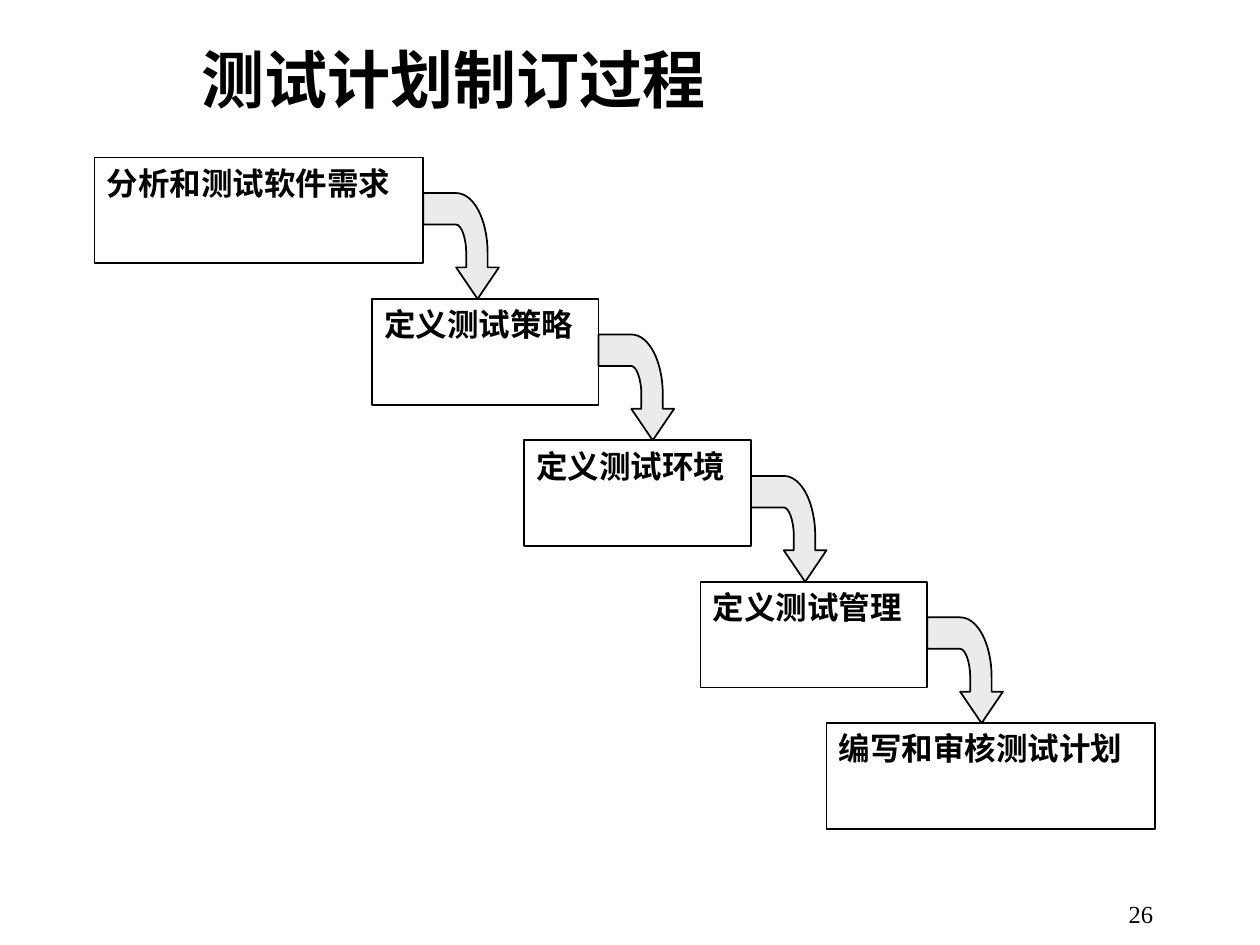
from dataclasses import dataclass

from lxml.etree import SubElement
from pptx import Presentation
from pptx.dml.color import RGBColor
from pptx.enum.shapes import MSO_SHAPE
from pptx.enum.text import MSO_ANCHOR, PP_ALIGN
from pptx.oxml.ns import qn
from pptx.util import Inches, Pt


@dataclass(frozen=True)
class Theme:
    ink: RGBColor = RGBColor(0, 0, 0)
    paper: RGBColor = RGBColor(255, 255, 255)
    arrow: RGBColor = RGBColor(0xC0, 0xC0, 0xC0)
    arrow_opacity: int = 30
    line: float = 0.99
    title_size: int = 36
    step_size: int = 18
    number_size: int = 14
    serif: str = "Times New Roman"
    sans: str = "Arial"
    cjk: str = "Noto Sans CJK SC"


T = Theme()

# Steps of the staircase: left, width, text runs with their fonts
STEPS = [
    (0.75, 2.61, [("分析和测试软件需求", T.sans)]),
    (2.95, 1.80, [("定义测试策略", T.sans)]),
    (4.16, 1.80, [("定义测试", T.cjk), ("环境", T.serif)]),
    (5.56, 1.80, [("定义测试管理", T.sans)]),
    (6.56, 2.61, [("编写和审核测试计划", T.sans)]),
]
FIRST_TOP, LAST_TOP = 1.25, 5.74
STEP_HEIGHT = 0.84

# Arrow pointing right, before its quarter turn; CURVES holds the
# index of the first control point of each Bezier curve
ARROW_LENGTH, ARROW_BREADTH = 0.84, 0.6
ARROW = [
    (0.84, 0.17), (0.59, 0), (0.59, 0.09), (0.48, 0.09),
    (0.21, 0.09), (0, 0.2), (0, 0.34),
    (0, 0.6), (0.25, 0.6), (0.25, 0.34),
    (0.25, 0.3), (0.35, 0.26), (0.48, 0.26),
    (0.59, 0.26), (0.59, 0.34),
]
CURVES = (4, 10)


def write(tf, runs, size, bold=False, align=PP_ALIGN.LEFT, anchor=MSO_ANCHOR.TOP):
    """Fill a text frame with one paragraph of (text, font) runs."""
    tf.word_wrap = True
    tf.vertical_anchor = anchor
    p = tf.paragraphs[0]
    p.alignment = align
    p.font.size, p.font.bold = Pt(size), bold
    p.font.color.rgb = T.ink
    for text, font in runs:
        r = p.add_run()
        r.text = text
        r.font.name = font
        SubElement(r.font._element, qn("a:ea"), typeface=T.cjk)


def outline(sp, fill):
    sp.shadow.inherit = False
    sp.fill.solid()
    sp.fill.fore_color.rgb = fill
    sp.line.color.rgb = T.ink
    sp.line.width = Pt(T.line)


def add_title(s, text):
    sp = s.shapes.title
    sp.left, sp.top, sp.width, sp.height = map(Inches, (1.5, 0, 8.5, 1.25))
    write(sp.text_frame, [(text, T.serif)], T.title_size, True,
          anchor=MSO_ANCHOR.MIDDLE)


def add_page_number(s, number):
    sp = s.shapes.add_textbox(*map(Inches, (7.17, 6.92, 2.08, 0.5)))
    write(sp.text_frame, [(number, T.serif)], T.number_size,
          align=PP_ALIGN.RIGHT, anchor=MSO_ANCHOR.BOTTOM)


def add_step(s, left, top, width, runs):
    sp = s.shapes.add_shape(MSO_SHAPE.RECTANGLE, Inches(left), Inches(top),
                            Inches(width), Inches(STEP_HEIGHT))
    outline(sp, T.paper)
    write(sp.text_frame, runs, T.step_size, True)


def fold_curves(sp):
    """Turn each run of three control-point segments into one Bezier."""
    segments = list(next(sp._element.iter(qn("a:path"))))
    for start in CURVES:
        first, *others = segments[start:start + 3]
        first.tag = qn("a:cubicBezTo")
        for segment in others:
            first.append(segment[0])
            segment.getparent().remove(segment)


def add_bent_arrow(s, left, top):
    """Place an arrow by the top left corner it has after its turn."""
    shift = (ARROW_LENGTH - ARROW_BREADTH) / 2
    points = [(Inches(left - shift + x), Inches(top + shift + y))
              for x, y in ARROW]
    builder = s.shapes.build_freeform(*points[0])
    builder.add_line_segments(points[1:], close=True)
    sp = builder.convert_to_shape()
    fold_curves(sp)
    sp.rotation = 90
    outline(sp, T.arrow)
    color = sp._element.spPr.find(qn("a:solidFill"))[0]
    SubElement(color, qn("a:alpha"), val=str(T.arrow_opacity * 1000))


def main():
    prs = Presentation()
    prs.slide_width, prs.slide_height = Inches(10), Inches(7.5)
    s = prs.slides.add_slide(prs.slide_layouts[5])
    add_title(s, "测试计划制订过程")
    add_page_number(s, "26")

    # Boxes descend evenly; each arrow ends on top of the next box
    pitch = (LAST_TOP - FIRST_TOP) / (len(STEPS) - 1)
    for i, (left, width, runs) in enumerate(STEPS):
        add_step(s, left, FIRST_TOP + i * pitch, width, runs)
    for i, (left, width, _) in enumerate(STEPS[:-1]):
        next_top = FIRST_TOP + (i + 1) * pitch
        add_bent_arrow(s, left + width, next_top - ARROW_LENGTH)

    prs.save("out.pptx")


main()
